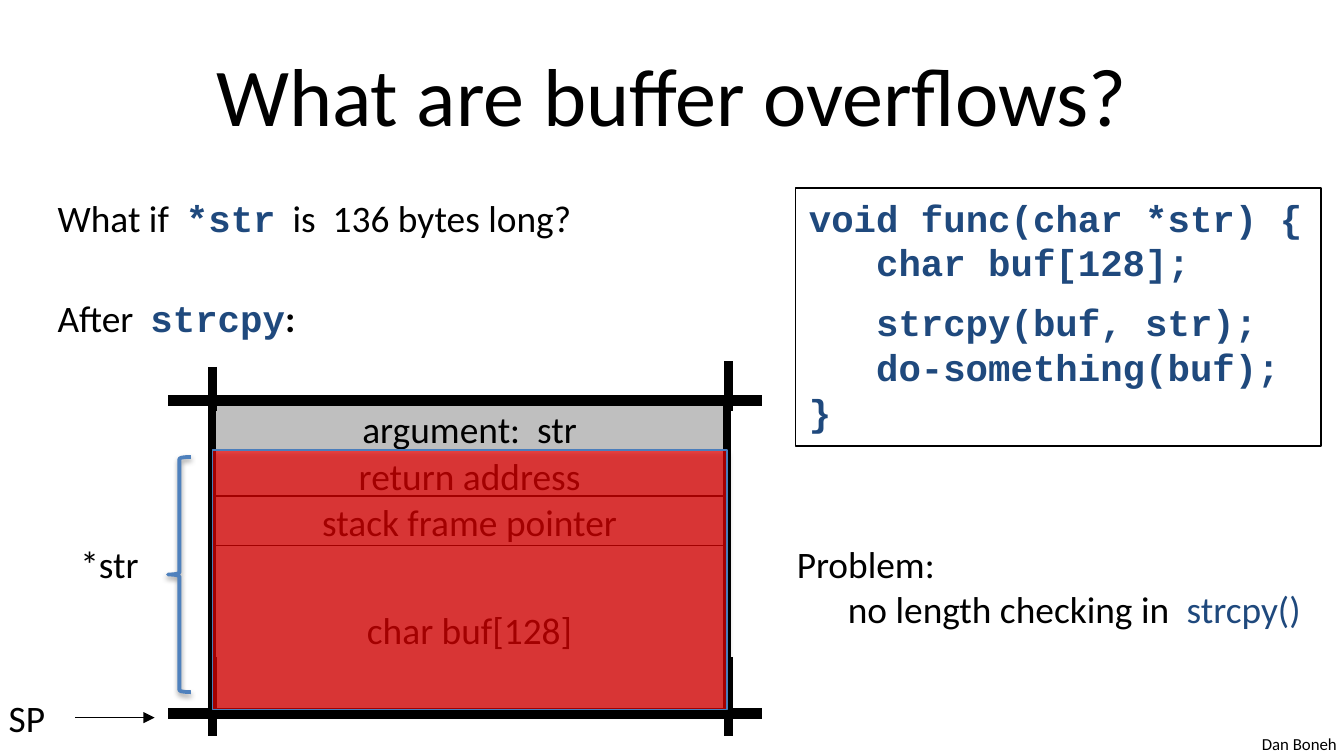
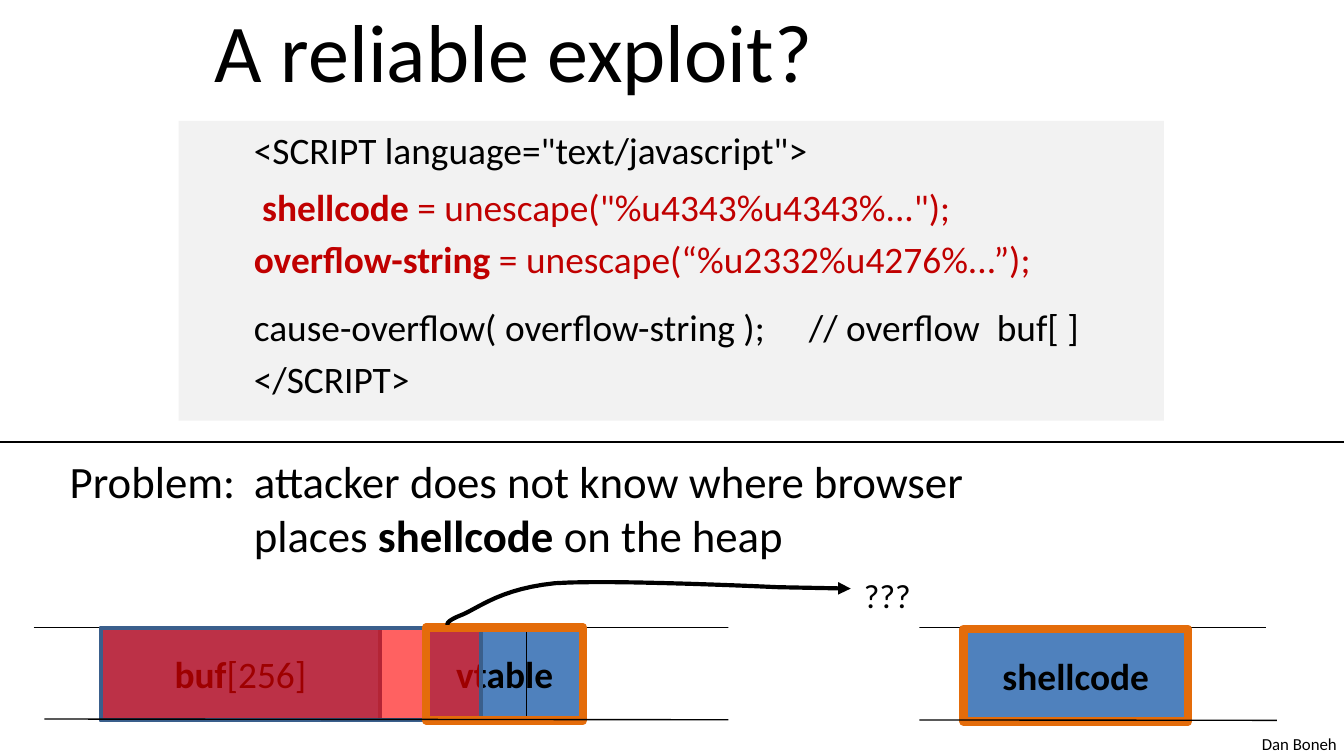
import pptx
import pptx.dml.color
import pptx.enum.shapes
import pptx.enum.text
import pptx.oxml
import pptx.oxml.ns
import pptx.util
from lxml import etree

Inches = pptx.util.Inches
Pt = pptx.util.Pt
RGBColor = pptx.dml.color.RGBColor
Shape = pptx.enum.shapes.MSO_SHAPE
Align = pptx.enum.text.PP_ALIGN
Anchor = pptx.enum.text.MSO_ANCHOR
qn = pptx.oxml.ns.qn

BLACK = RGBColor(0x00, 0x00, 0x00)
WHITE = RGBColor(0xFF, 0xFF, 0xFF)
NAVY = RGBColor(0x1F, 0x49, 0x7D)
STACK_GRAY = RGBColor(0xBF, 0xBF, 0xBF)
PALE_GRAY = RGBColor(0xF2, 0xF2, 0xF2)
BLUE = RGBColor(0x4F, 0x81, 0xBD)
DARK_BLUE = RGBColor(0x3A, 0x5F, 0x8C)
OVERFLOW_EDGE = RGBColor(0x4B, 0x7E, 0xBC)
RED = RGBColor(0xFF, 0x00, 0x00)
DARK_RED = RGBColor(0xC0, 0x00, 0x00)
ORANGE = RGBColor(0xE4, 0x6C, 0x0A)

BODY_FONT = "Calibri"
CODE = {"font": "Courier New", "color": NAVY, "bold": True}


def add_para(frame, text, size=20, font=BODY_FONT, color=BLACK, bold=False,
             align=Align.LEFT, before=0, left=0, first=0, tab=None):
    para = frame.add_paragraph() if frame.text else frame.paragraphs[0]
    para.alignment = align
    para.space_before = Pt(before)
    properties = para._p.get_or_add_pPr()
    properties.set("marL", str(Inches(left)))
    properties.set("indent", str(Inches(first)))
    if tab:
        tabs = etree.SubElement(properties, qn("a:tabLst"))
        etree.SubElement(tabs, qn("a:tab"), pos=str(Inches(tab)), algn="l")
    base = {"font": font, "color": color, "bold": bold}
    spans = [(text, {})] if isinstance(text, str) else text
    for words, changes in spans:
        look = {**base, **changes}
        span = para.add_run()
        span.text = words
        span.font.size = Pt(size)
        span.font.name = look["font"]
        span.font.bold = look["bold"]
        span.font.color.rgb = look["color"]


def add_arrowhead(shape):
    line = shape.element.spPr.find(qn("a:ln"))
    etree.SubElement(line, qn("a:tailEnd"), type="triangle")


def cubic_points(start, first, second, end, steps=12):
    for step in range(1, steps + 1):
        t = step / steps
        weights = ((1 - t) ** 3, 3 * t * (1 - t) ** 2, 3 * t * t * (1 - t), t ** 3)
        yield tuple(sum(weight * point[axis] for weight, point
                        in zip(weights, (start, first, second, end)))
                    for axis in (0, 1))


class Deck:
    def __init__(self):
        self.deck = pptx.Presentation()
        self.deck.slide_width = Inches(10)
        self.deck.slide_height = Inches(10) * 9 // 16
        self.page = None

    def add_page(self):
        self.page = self.deck.slides.add_slide(self.deck.slide_layouts[6])
        add_para(self.text(9.29, 5.41, 0.76, 0.25), "Dan Boneh", size=9)

    def title(self, top, words, **look):
        frame = self.text(0.5, top, 9, 0.94, wrap=True, grow=False)
        frame.vertical_anchor = Anchor.MIDDLE
        add_para(frame, words, size=44, **look)

    def text(self, left, top, width, height, wrap=False, grow=True):
        box = self.page.shapes.add_textbox(
            Inches(left), Inches(top), Inches(width), Inches(height))
        frame = box.text_frame
        frame.word_wrap = wrap
        if grow:
            frame.auto_size = pptx.enum.text.MSO_AUTO_SIZE.SHAPE_TO_FIT_TEXT
        return frame

    def shape(self, left, top, width, height, fill=None, line=None, weight=0.75,
              kind=Shape.RECTANGLE, alpha=None, words=None, shadow=None):
        box = self.page.shapes.add_shape(
            kind, Inches(left), Inches(top), Inches(width), Inches(height))
        box.shadow.inherit = False
        if fill is None:
            box.fill.background()
        else:
            box.fill.solid()
            box.fill.fore_color.rgb = fill
        if alpha:
            color = box.element.spPr.find(qn("a:solidFill"))[0]
            etree.SubElement(color, qn("a:alpha"), val=str(alpha * 1000))
        if line is None:
            box.line.fill.background()
        else:
            box.line.color.rgb = line
            box.line.width = Pt(weight)
        if shadow:
            self.shadow(box, *shadow)
        frame = box.text_frame
        frame.word_wrap = False
        frame.vertical_anchor = Anchor.MIDDLE
        if words:
            add_para(frame, words, align=Align.CENTER)
        return box

    def shadow(self, box, opacity, distance):
        effects = box.element.spPr.find(qn("a:effectLst"))
        outer = etree.SubElement(
            effects, qn("a:outerShdw"), blurRad=str(Pt(3.1)),
            dist=str(Pt(distance)), dir="5400000", rotWithShape="0")
        color = etree.SubElement(outer, qn("a:srgbClr"), val=str(BLACK))
        etree.SubElement(color, qn("a:alpha"), val=str(opacity * 1000))

    def line(self, x1, y1, x2, y2, weight=0.75, arrow=False):
        connector = self.page.shapes.add_connector(
            pptx.enum.shapes.MSO_CONNECTOR.STRAIGHT,
            Inches(x1), Inches(y1), Inches(x2), Inches(y2))
        connector.line.color.rgb = BLACK
        connector.line.width = Pt(weight)
        etree.SubElement(connector.element.spPr, qn("a:effectLst"))
        if arrow:
            add_arrowhead(connector)

    def curve(self, start, segments, end, weight):
        points = [start]
        for segment in segments:
            points.extend(cubic_points(points[-1], *segment))
        points.append(end)
        lengths = [(Inches(x), Inches(y)) for x, y in points]
        builder = self.page.shapes.build_freeform(*lengths[0], scale=1.0)
        builder.add_line_segments(lengths[1:], close=False)
        arrow = builder.convert_to_shape()
        arrow.shadow.inherit = False
        arrow.fill.background()
        arrow.line.color.rgb = BLACK
        arrow.line.width = Pt(weight)
        add_arrowhead(arrow)


def build_overflow_page(deck):
    deck.add_page()
    deck.title(0.23, "What are buffer overflows?", align=Align.CENTER)

    code_box = deck.shape(5.92, 1.4, 3.91, 1.92, line=BLACK)
    code_box.text_frame.vertical_anchor = Anchor.TOP
    for words, indent, before in (
            ("void func(char *str) {", 0, 0),
            ("char buf[128];", 0.5, 0),
            ("strcpy(buf, str);", 0.5, 8),
            ("do-something(buf);", 0.5, 0),
            ("}", 0, 0)):
        add_para(code_box.text_frame, words, left=indent, before=before, **CODE)

    question = deck.text(0.33, 1.4, 4.12, 0.88, wrap=True, grow=False)
    add_para(question, [("What if  ", {}), ("*str", CODE),
                        ("  is  136 bytes long?", {})])
    add_para(question, [("After  ", {}), ("strcpy", CODE), (":", {"bold": True})],
             before=30)

    left, top, width, bottom = 1.58, 2.98, 3.83, 5.31
    right = 5.42
    for row_top, height, words in (
            (top, 0.42, "argument:  str"),
            (3.35, 0.38, "return address"),
            (3.69, 0.38, "stack frame pointer"),
            (4.06, 1.25, "char buf[128]")):
        deck.shape(left, row_top, width, height, STACK_GRAY, BLACK, words=words)

    add_para(deck.text(-0.04, 5.12, 0.48, 0.44), "SP", align=Align.CENTER)
    deck.line(0.56, 5.34, 1.15, 5.34, arrow=True)
    for y in (bottom, top):
        deck.line(1.25, y, 5.67, y, weight=6)
    for x, post_top in ((left, 2.73), (right, 2.69)):
        deck.line(x, post_top, x, 3.06, weight=4.5)
        deck.line(x, 4.89, x, 5.48, weight=4.5)
    deck.shape(left, top, width, bottom - top, line=BLACK, weight=4.5)
    deck.shape(left, 3.35, width, 1.93, RED, OVERFLOW_EDGE, alpha=64,
               shadow=(35, 1.8))
    deck.shape(1.25, 3.4, 0.17, 1.75, line=BLUE, weight=2,
               kind=Shape.LEFT_BRACE, shadow=(38, 1.6))
    add_para(deck.text(0.5, 3.98, 0.64, 0.44), "*str")

    problem = deck.text(5.83, 3.98, 3.98, 0.77)
    add_para(problem, "Problem:")
    add_para(problem, [("no length checking in  ", {}), ("strcpy()", {"color": NAVY})],
             left=0.38)


def build_exploit_page(deck):
    deck.add_page()
    deck.shape(1.33, 0.9, 7.33, 2.23, PALE_GRAY)
    deck.title(-0.1, "A reliable exploit?", first=1)

    indent = 1.37
    strong = {"bold": True}
    body = deck.text(0.42, 0.73, 9, 4.44, wrap=True, grow=False)
    body.margin_top = Inches(0.22)
    add_para(body, '<SCRIPT language="text/javascript">', first=indent)
    add_para(body, [(" shellcode", strong), (' = unescape("%u4343%u4343%...");', {})],
             color=DARK_RED, first=indent, before=6.2)
    add_para(body, [("overflow-string", strong),
                    (" = unescape(“%u2332%u4276%...”);", {})],
             color=DARK_RED, first=indent, before=4)
    add_para(body, "cause-overflow( overflow-string );\t// overflow  buf[ ]",
             first=indent, before=12.2, tab=5.86)
    add_para(body, "</SCRIPT>", first=indent, before=4)
    add_para(body, "Problem:\tattacker does not know where browser",
             size=24, left=indent, first=-indent, before=28.4)
    add_para(body, [("places ", {}), ("shellcode", strong), (" on the heap", {})],
             size=24, first=indent)

    top, height = 4.67, 0.69
    shellcode = (7.17, 4.68, 1.67, height)
    vtable = (3.17, top, 1.17, height)
    heap_block = {"fill": BLUE, "line": DARK_BLUE, "weight": 2}
    deck.shape(0.75, top, 2.08, height, words=[("buf", strong), ("[256]", {})],
               **heap_block)
    deck.shape(*shellcode, words=[("shellcode", strong)], **heap_block)
    deck.line(0.25, top, 9.42, top)
    deck.shape(*vtable, words=[("vtable", strong)], **heap_block)
    for x in (3.58, 3.92):
        deck.line(x, top, x, 5.35)
    deck.shape(0.75, top, 2.83, height, RED, DARK_BLUE, weight=2, alpha=62)
    for block in (shellcode, vtable):
        deck.shape(*block, line=ORANGE, weight=4.5)
    deck.line(0.33, 5.35, 9.5, 5.36)
    deck.shape(5.42, 4.6, 1.42, 0.88, WHITE)

    deck.curve((3.33, 4.65), [
        ((3.33, 4.64), (3.32, 4.62), (3.45, 4.57)),
        ((3.58, 4.51), (3.74, 4.38), (4.13, 4.34)),
        ((4.53, 4.31), (5.8, 4.37), (5.8, 4.37)),
    ], (6.33, 4.38), weight=2.25)
    add_para(deck.text(6.33, 4.23, 0.55, 0.4), "???", size=18)
    deck.line(0, 3.29, 10, 3.29)


def main():
    deck = Deck()
    build_overflow_page(deck)
    build_exploit_page(deck)
    deck.deck.save("out.pptx")


if __name__ == "__main__":
    main()
